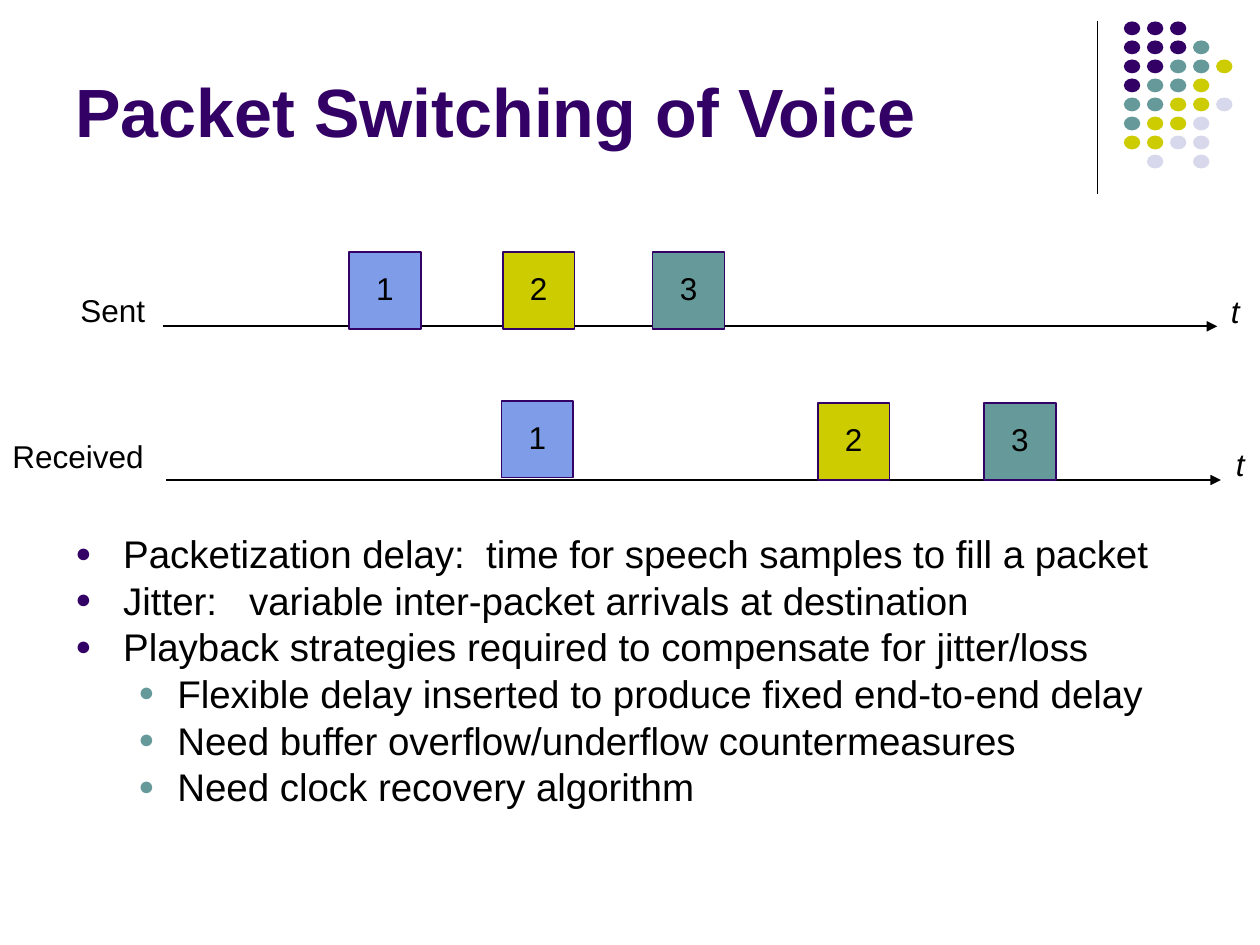
import pptx
import pptx.dml.color
import pptx.enum.shapes
import pptx.enum.text
import pptx.oxml.ns
import pptx.util
from lxml import etree

Inches, Pt = pptx.util.Inches, pptx.util.Pt
qn = pptx.oxml.ns.qn
SHAPE = pptx.enum.shapes.MSO_SHAPE
ANCHOR = pptx.enum.text.MSO_ANCHOR
ALIGN = pptx.enum.text.PP_ALIGN
FIT = pptx.enum.text.MSO_AUTO_SIZE

# Content
TITLE = "Packet Switching of Voice"
BULLETS = [
    (0, "Packetization delay:  time for speech samples to fill a packet"),
    (0, "Jitter:   variable inter-packet arrivals at destination"),
    (0, "Playback strategies required to compensate for jitter/loss"),
    (1, "Flexible delay inserted to produce fixed end-to-end delay"),
    (1, "Need buffer overflow/underflow countermeasures"),
    (1, "Need clock recovery algorithm"),
]
TIMELINES = [
    {"name": "Sent", "name_at": (0.54, 2.26, 0.75), "axis": (1.29, 2.59),
     "t_at": (9.67, 2.27), "packets": [(2.77, 2), (3.99, 2), (5.18, 2)]},
    {"name": "Received", "name_at": (0, 3.42, 1.26), "axis": (1.32, 3.81),
     "t_at": (9.71, 3.48), "packets": [(3.98, 3.18), (6.49, 3.2), (7.81, 3.2)]},
]
# One letter per dot: purple, teal, olive, lavender
DOTS = ["PPP", "PPPT", "PPTTO", "PTTO", "TTOOL", "TOOL", "OOLL", " L L"]

THEME = {
    "font": "Arial",
    "ink": "000000", "purple": "330066",
    "packets": ["7E9CE8", "CCCC00", "669999"],
    "dots": {"P": "330066", "T": "669999", "O": "CCCC00", "L": "D8D8EC"},
    "bullets": ["330066", "669999"],
    "title_size": 39, "body_size": 22, "label_size": 18,
}
INDENTS = [(0.38, -0.38), (0.81, -0.31)]
AXIS_LENGTH = 8.37
PACKET_SIZE = (0.57, 0.61)


def rgb(value):
    return pptx.dml.color.RGBColor.from_string(value)


def apply(target, values):
    for name, value in values.items():
        setattr(target, name, value)


def write(para, text, size, color=THEME["ink"], **style):
    para.add_run().text = text
    apply(para.font, {"name": THEME["font"], "size": Pt(size), **style})
    para.font.color.rgb = rgb(color)


def add_box(page, left, top, width, height, **frame_style):
    box = page.shapes.add_textbox(*map(Inches, (left, top, width, height)))
    apply(box.text_frame, {"word_wrap": True, **frame_style})
    return box.text_frame


def add_label(page, left, top, width, text, **style):
    frame = add_box(page, left, top, width, 0.4, word_wrap=False,
                    auto_size=FIT.SHAPE_TO_FIT_TEXT)
    write(frame.paragraphs[0], text, THEME["label_size"], **style)


def add_shape(page, kind, left, top, size, fill):
    shape = page.shapes.add_shape(kind, *map(Inches, (left, top, *size)))
    shape.shadow.inherit = False
    shape.fill.solid()
    shape.fill.fore_color.rgb = rgb(fill)
    shape.line.fill.background()
    return shape


def add_line(page, start, end, width, arrow=False):
    line = page.shapes.add_connector(
        pptx.enum.shapes.MSO_CONNECTOR.STRAIGHT, *map(Inches, (*start, *end)))
    line.line.color.rgb = rgb(THEME["ink"])
    line.line.width = Pt(width)
    if arrow:
        etree.SubElement(line.line._get_or_add_ln(), qn("a:tailEnd"), type="triangle")
    etree.SubElement(line._element.spPr, qn("a:effectLst"))


def add_bullet(para, level):
    margin, indent = INDENTS[level]
    props = para._p.get_or_add_pPr()
    props.set("marL", str(Inches(margin)))
    props.set("indent", str(Inches(indent)))
    color = etree.SubElement(props, qn("a:buClr"))
    etree.SubElement(color, qn("a:srgbClr"), val=THEME["bullets"][level])
    etree.SubElement(props, qn("a:buSzPct"), val="70000")
    etree.SubElement(props, qn("a:buFont"), typeface=THEME["font"])
    etree.SubElement(props, qn("a:buChar"), char="●")


def add_packet(page, left, top, number, fill):
    packet = add_shape(page, SHAPE.RECTANGLE, left, top, PACKET_SIZE, fill)
    packet.line.color.rgb = rgb(THEME["purple"])
    packet.line.width = Pt(1)
    apply(packet.text_frame, {"vertical_anchor": ANCHOR.MIDDLE, "margin_top": 0,
                              "margin_bottom": Inches(0.04)})
    para = packet.text_frame.paragraphs[0]
    para.alignment = ALIGN.CENTER
    write(para, str(number), THEME["label_size"])


def main():
    deck = pptx.Presentation()
    apply(deck, {"slide_width": Inches(10), "slide_height": Inches(7.5)})
    page = deck.slides.add_slide(deck.slide_layouts[6])

    # Corner ornament
    add_line(page, (8.71, 0.17), (8.71, 1.54), 0.75)
    for row, letters in enumerate(DOTS):
        for column, letter in enumerate(letters):
            if letter in THEME["dots"]:
                add_shape(page, SHAPE.OVAL, 8.92 + column * 0.183, 0.17 + row * 0.151,
                          (0.13, 0.11), THEME["dots"][letter])

    # Title
    frame = add_box(page, 0.5, 0.13, 8.25, 1.12, vertical_anchor=ANCHOR.BOTTOM)
    write(frame.paragraphs[0], TITLE, THEME["title_size"], THEME["purple"], bold=True)

    # Bullets
    frame = add_box(page, 0.5, 4.23, 9, 2.76)
    for index, (level, text) in enumerate(BULLETS):
        para = frame.add_paragraph() if index else frame.paragraphs[0]
        apply(para, {"level": level, "line_spacing": 0.8,
                     "space_before": Pt(5.5 if index else 0)})
        add_bullet(para, level)
        write(para, text, THEME["body_size"])

    # Timelines with their packets
    for timeline in TIMELINES:
        left, top = timeline["axis"]
        add_line(page, (left, top), (left + AXIS_LENGTH, top), 1, arrow=True)
        add_label(page, *timeline["name_at"], timeline["name"])
        add_label(page, *timeline["t_at"], 0.27, "t", italic=True)
        for number, (place, fill) in enumerate(
                zip(timeline["packets"], THEME["packets"]), start=1):
            add_packet(page, *place, number, fill)

    deck.save("out.pptx")


if __name__ == "__main__":
    main()
